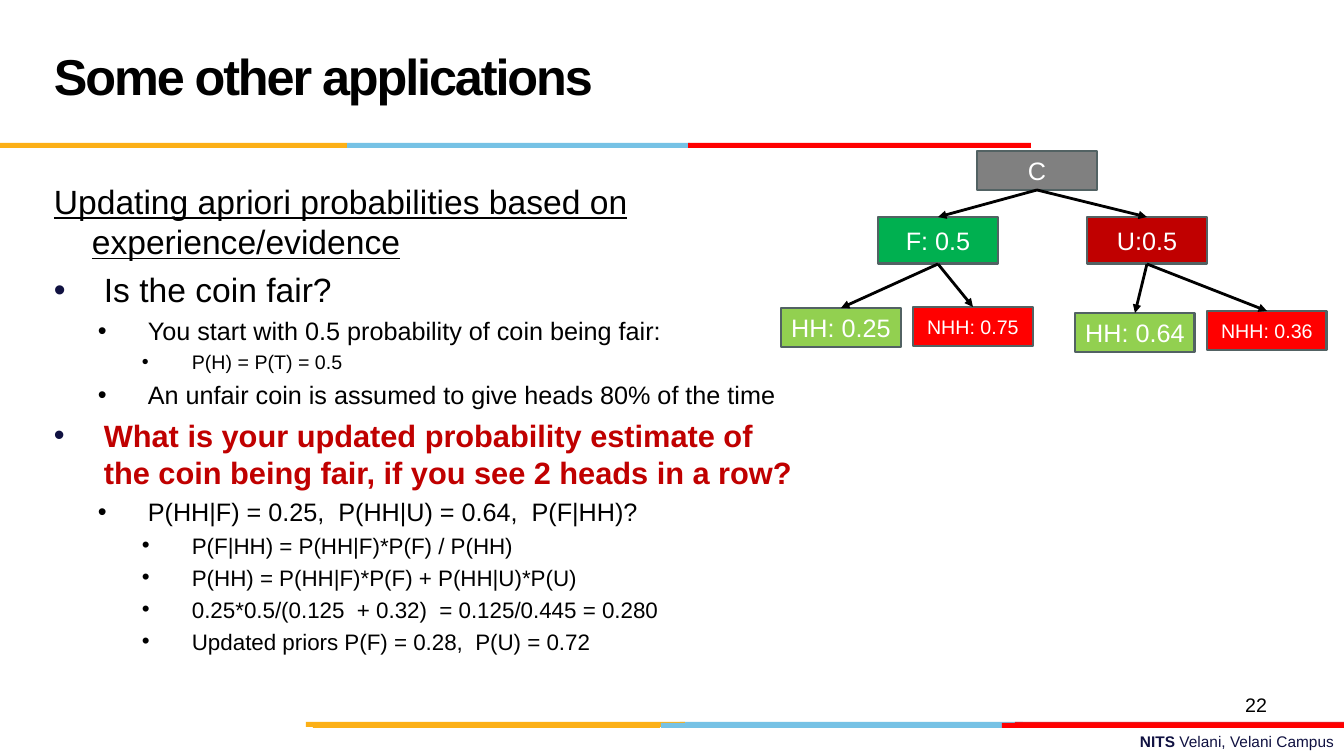
from lxml import etree
from pptx import Presentation
from pptx.dml.color import RGBColor
from pptx.enum.shapes import MSO_CONNECTOR, MSO_SHAPE
from pptx.enum.text import MSO_ANCHOR, PP_ALIGN
from pptx.oxml.ns import qn
from pptx.util import Pt

RECT = MSO_SHAPE.RECTANGLE
STRAIGHT = MSO_CONNECTOR.STRAIGHT
TOP, MIDDLE = MSO_ANCHOR.TOP, MSO_ANCHOR.MIDDLE
LEFT, CENTER, RIGHT = PP_ALIGN.LEFT, PP_ALIGN.CENTER, PP_ALIGN.RIGHT

FONT = "Arial"
BLACK = RGBColor(0x00, 0x00, 0x00)
WHITE = RGBColor(0xFF, 0xFF, 0xFF)
NAVY = RGBColor(0x10, 0x11, 0x41)
AMBER = RGBColor(0xFC, 0xB0, 0x17)
SKY = RGBColor(0x76, 0xC2, 0xE5)
CRIMSON = RGBColor(0xE3, 0x1C, 0x24)
RED = RGBColor(0xFF, 0x00, 0x00)
DARK_RED = RGBColor(0xC0, 0x00, 0x00)
GREEN = RGBColor(0x00, 0xB0, 0x50)
LIME = RGBColor(0x92, 0xD0, 0x50)
GRAY = RGBColor(0x80, 0x80, 0x80)
SLATE = RGBColor(0x52, 0x62, 0x63)

PX = 914400 / 100.8
BAR_H = 5
NODE_W = 120
HANG = 50
LEVEL_STEP = 44
SPACE_RATIO = 0.23  # space before a paragraph, per point of text

# Coloured strips: left, top, width, colour
BARS = [
    (680, 722, 343, SKY), (1015, 722, 329, CRIMSON), (306, 722, 379, AMBER),
    (661, 723, 343, SKY), (313, 723, 347, AMBER), (1002, 723, 342, RED),
    (347, 143, 343, SKY), (0, 143, 347, AMBER), (688, 143, 343, RED),
]

# Bullets: level, text, size, further format
BULLETS = [
    (0, "Is the coin fair?", 24, {}),
    (1, "You start with 0.5 probability of coin being fair:", 18, {}),
    (2, "P(H) = P(T) = 0.5", 14, {}),
    (1, "An unfair coin is assumed to give heads 80% of the time", 18, {}),
    (0, "What is your updated probability estimate of the coin being fair, "
        "if you see 2 heads in a row?", 22, {"color": DARK_RED, "bold": True}),
    (1, "P(HH|F) = 0.25,  P(HH|U) = 0.64,  P(F|HH)?", 18, {}),
    (2, "P(F|HH) = P(HH|F)*P(F) / P(HH)", 16, {}),
    (2, "P(HH) = P(HH|F)*P(F) + P(HH|U)*P(U)", 16, {}),
    (2, "0.25*0.5/(0.125  + 0.32)  = 0.125/0.445 = 0.280", 16, {}),
    (2, "Updated priors P(F) = 0.28,  P(U) = 0.72", 16, {}),
]

# Tree nodes: left, top, height, label, size, fill
NODES = {
    "coin": (977, 151, 39, "C", 18, GRAY),
    "fair": (878, 217, 47, "F: 0.5", 18, GREEN),
    "unfair": (1087, 217, 47, "U:0.5", 18, DARK_RED),
    "unfair_other": (1207, 311, 39, "NHH: 0.36", 14, RED),
    "unfair_heads": (1075, 313, 39, "HH: 0.64", 18, LIME),
    "fair_other": (913, 307, 39, "NHH: 0.75", 14, RED),
    "fair_heads": (781, 308, 39, "HH: 0.25", 18, LIME),
}
BRANCHES = [
    ("coin", "fair"), ("coin", "unfair"),
    ("fair", "fair_heads"), ("unfair", "unfair_heads"),
    ("fair", "fair_other"), ("unfair", "unfair_other"),
]


def px(n):
    return round(n * PX)


def add_run(p, text, size=18, color=BLACK, bold=False, underline=False):
    r = p.add_run()
    r.text = text
    f = r.font
    f.name, f.size, f.bold, f.underline = FONT, Pt(size), bold, underline
    f.color.rgb = color
    return r


def add_box(s, x, y, w, h, anchor=TOP, align=LEFT):
    """Adds a wrapping text box and returns its text frame."""
    tf = s.shapes.add_textbox(px(x), px(y), px(w), px(h)).text_frame
    tf.word_wrap = True
    tf.vertical_anchor = anchor
    tf.paragraphs[0].alignment = align
    return tf


def add_rect(s, x, y, w, h, fill):
    sp = s.shapes.add_shape(RECT, px(x), px(y), px(w), px(h))
    sp.shadow.inherit = False
    sp.fill.solid()
    sp.fill.fore_color.rgb = fill
    sp.line.fill.background()
    return sp


def add_node(s, x, y, h, label, size, fill):
    sp = add_rect(s, x, y, NODE_W, h, fill)
    sp.line.color.rgb = SLATE
    sp.line.width = Pt(2)
    tf = sp.text_frame
    tf.word_wrap = False
    tf.vertical_anchor = MIDDLE
    p = tf.paragraphs[0]
    p.alignment = CENTER
    add_run(p, label, size=size, color=WHITE)
    return sp


def add_arrow(s, parent, child):
    line = s.shapes.add_connector(STRAIGHT, 0, 0, 0, 0)
    line.begin_connect(parent, 2)
    line.end_connect(child, 0)
    line.line.color.rgb = BLACK
    line.line.width = Pt(2)
    etree.SubElement(line.line._get_or_add_ln(), qn("a:tailEnd"), type="triangle")
    etree.SubElement(line._element.spPr, qn("a:effectLst"))


def set_indent(p, margin, hang):
    pPr = p._p.get_or_add_pPr()
    pPr.set("marL", str(px(margin)))
    pPr.set("indent", str(-px(hang)))
    return pPr


def add_bullet(tf, level, text, size, fmt):
    p = tf.add_paragraph()
    p.level = level
    p.space_before = Pt(round(size * SPACE_RATIO, 1))
    pPr = set_indent(p, HANG + level * LEVEL_STEP, HANG)
    color = etree.SubElement(pPr, qn("a:buClr"))
    etree.SubElement(color, qn("a:srgbClr"), val=str(BLACK if level else NAVY))
    etree.SubElement(pPr, qn("a:buFont"), typeface=FONT)
    etree.SubElement(pPr, qn("a:buChar"), char="•")
    add_run(p, text, size=size, **fmt)


def main():
    prs = Presentation()
    prs.slide_width, prs.slide_height = px(1344), px(756)
    s = prs.slides.add_slide(prs.slide_layouts[6])

    # Footer and strips
    p = add_box(s, 482, 727, 862, 29, align=RIGHT).paragraphs[0]
    add_run(p, "NITS ", size=11, color=NAVY, bold=True)
    add_run(p, "Velani, Velani Campus", size=11, color=NAVY)
    for x, y, w, color in BARS:
        add_rect(s, x, y, w, BAR_H, color)

    # Body
    tf = add_box(s, 44, 176, 773, 499)
    p = tf.paragraphs[0]
    p.space_before = Pt(round(24 * SPACE_RATIO, 1))
    set_indent(p, 38, 38)
    add_run(p, "Updating apriori probabilities based on experience/evidence",
            size=24, underline=True)
    for bullet in BULLETS:
        add_bullet(tf, *bullet)

    # Title
    p = add_box(s, 44, 17, 929, 126, anchor=MIDDLE).paragraphs[0]
    p.line_spacing = Pt(36)
    r = add_run(p, "Some other applications", size=36, bold=True)
    r.font._element.set("spc", "-150")

    # Page number
    p = add_box(s, 964, 688, 313, 52, align=RIGHT).paragraphs[0]
    add_run(p, "22", size=14)

    # Probability tree
    nodes = {name: add_node(s, *node) for name, node in NODES.items()}
    for parent, child in BRANCHES:
        add_arrow(s, nodes[parent], nodes[child])

    prs.save("out.pptx")


if __name__ == "__main__":
    main()
